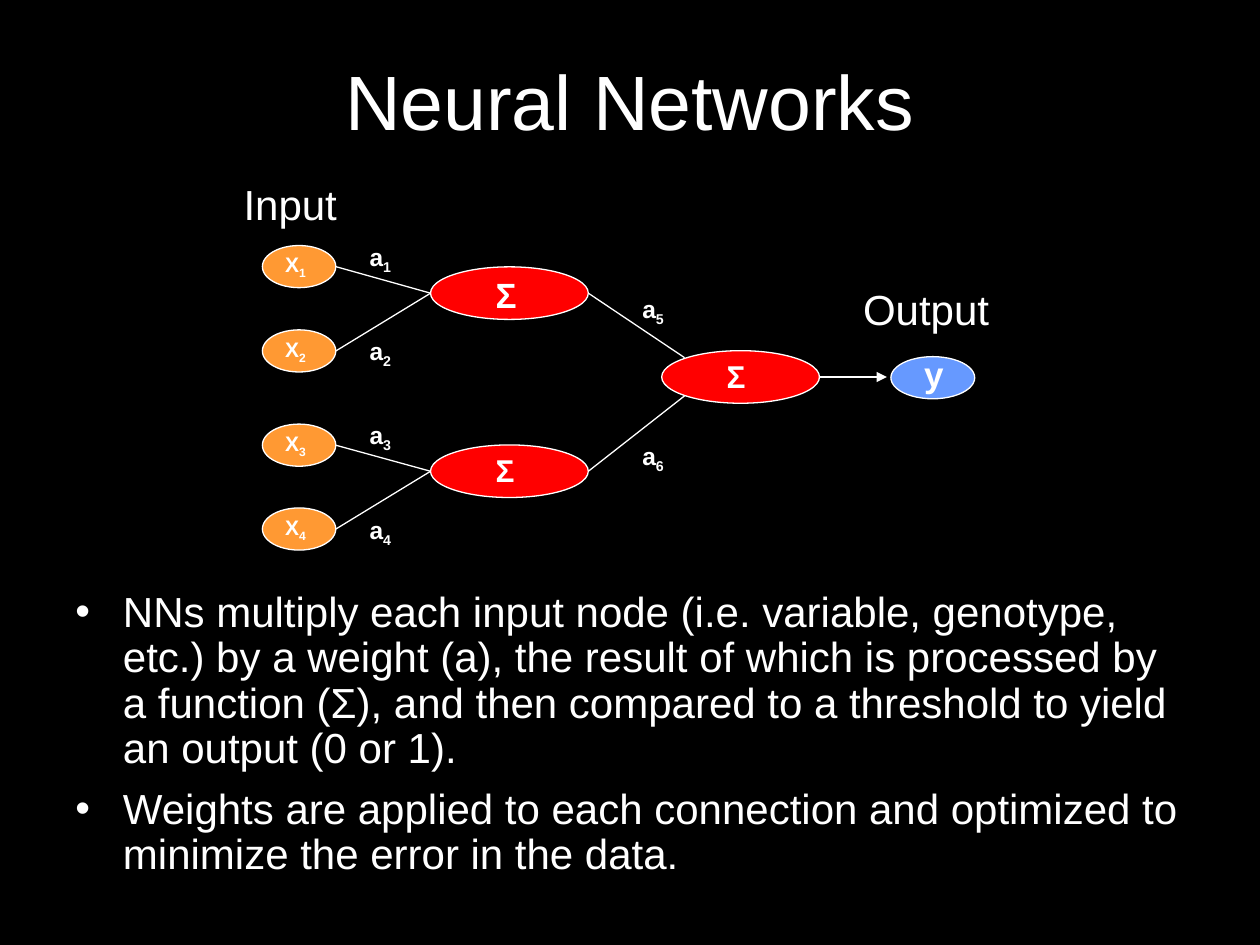
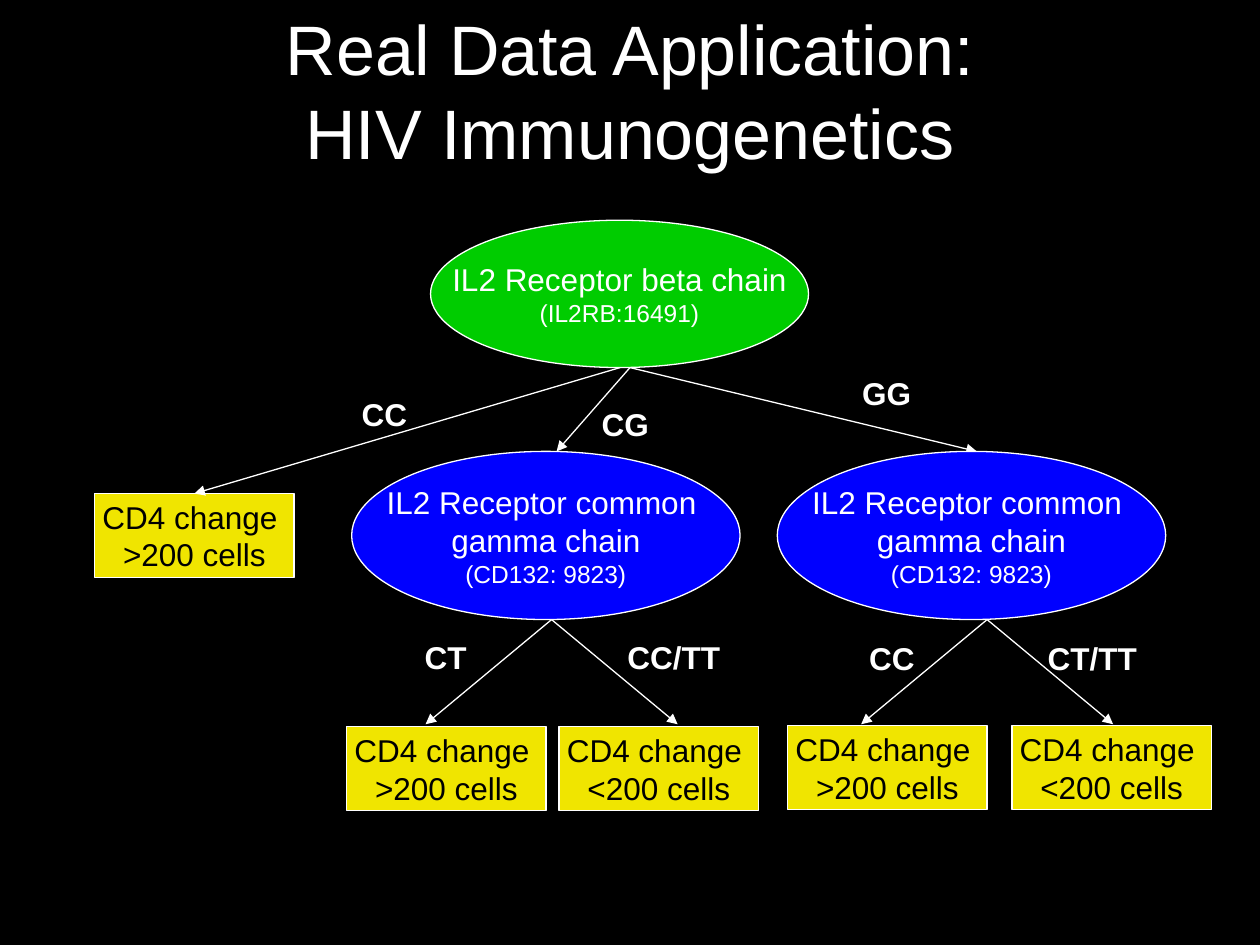
from dataclasses import dataclass
from typing import NamedTuple

from lxml import etree
from pptx import Presentation
from pptx.dml.color import RGBColor
from pptx.enum.shapes import MSO_CONNECTOR as CONN, MSO_SHAPE as SHAPE
from pptx.enum.text import MSO_ANCHOR as ANCHOR, PP_ALIGN as ALIGN
from pptx.oxml.ns import qn
from pptx.util import Cm, Pt

# Shared look
FONT = "Arial"
BLACK, WHITE = "000000", "FFFFFF"
RED, ORANGE, SKY = "FF0000", "FF9933", "6699FF"
GREEN, BLUE, YELLOW = "00CC00", "0000FF", "F0E500"
LINE_WIDTH = 0.75


class Run(NamedTuple):
    text: str
    size: float
    color: str = WHITE
    bold: bool = False
    subscript: bool = False


class Point(NamedTuple):
    x: float
    y: float


@dataclass(frozen=True)
class Box:
    """A place on the slide, in centimetres."""
    x: float
    y: float
    w: float
    h: float

    @property
    def mid_left(self) -> Point:
        return Point(self.x, self.y + self.h / 2)

    @property
    def mid_right(self) -> Point:
        return Point(self.x + self.w, self.y + self.h / 2)

    @property
    def top(self) -> Point:
        return Point(self.x + self.w / 2, self.y)

    def lengths(self) -> tuple:
        return Cm(self.x), Cm(self.y), Cm(self.w), Cm(self.h)


class Label(NamedTuple):
    text: str
    x: float
    y: float
    w: float


def rgb(color: str) -> RGBColor:
    return RGBColor.from_string(color)


def add_run(p, run: Run) -> None:
    for i, part in enumerate(run.text.split("\n")):
        if i:
            p.add_line_break()
        r = p.add_run()
        r.text = part
        r.font.name = FONT
        r.font.size = Pt(run.size)
        r.font.bold = run.bold
        r.font.color.rgb = rgb(run.color)
        if run.subscript:
            r.font._element.set("baseline", "-25000")


def write(tf, paragraphs: list[list[Run]], align=ALIGN.LEFT) -> None:
    for i, runs in enumerate(paragraphs):
        p = tf.add_paragraph() if i else tf.paragraphs[0]
        p.alignment = align
        for run in runs:
            add_run(p, run)


def add_text(slide, box: Box, paragraphs: list[list[Run]], align=ALIGN.LEFT):
    tf = slide.shapes.add_textbox(*box.lengths()).text_frame
    tf.word_wrap = True
    write(tf, paragraphs, align)
    return tf


def add_label(slide, label: Label, size: float, bold: bool = True,
              sub: str = "") -> None:
    height = round(size * 0.0423 + 0.25, 2)
    runs = [Run(label.text, size, bold=bold)]
    if sub:
        runs.append(Run(sub, size, bold=bold, subscript=True))
    add_text(slide, Box(label.x, label.y, label.w, height), [runs])


def add_node(slide, kind, box: Box, fill: str, lines: tuple[Run, ...] = ()):
    sp = slide.shapes.add_shape(kind, *box.lengths())
    sp.shadow.inherit = False
    sp.fill.solid()
    sp.fill.fore_color.rgb = rgb(fill)
    sp.line.color.rgb = rgb(WHITE)
    sp.line.width = Pt(LINE_WIDTH)
    if lines:
        tf = sp.text_frame
        tf.word_wrap = False
        tf.vertical_anchor = ANCHOR.MIDDLE
        write(tf, [[run] for run in lines], ALIGN.CENTER)
    return sp


def add_line(slide, start: Point, end: Point, arrow: bool = False):
    cxn = slide.shapes.add_connector(
        CONN.STRAIGHT, Cm(start.x), Cm(start.y), Cm(end.x), Cm(end.y))
    cxn.line.color.rgb = rgb(WHITE)
    cxn.line.width = Pt(LINE_WIDTH)
    if arrow:
        etree.SubElement(cxn.line._get_or_add_ln(), qn("a:tailEnd"), type="triangle")
    etree.SubElement(cxn._element.spPr, qn("a:effectLst"))
    return cxn


def add_bullet(p) -> None:
    pPr = p._p.get_or_add_pPr()
    pPr.set("marL", str(Cm(0.96)))
    pPr.set("indent", str(Cm(-0.96)))
    color = etree.SubElement(pPr, qn("a:buClr"))
    etree.SubElement(color, qn("a:srgbClr"), val=WHITE)
    etree.SubElement(pPr, qn("a:buFont"), typeface=FONT)
    etree.SubElement(pPr, qn("a:buChar"), char="•")


def new_slide(prs, title: str, top: float, size: float):
    slide = prs.slides.add_slide(prs.slide_layouts[6])
    tf = add_text(slide, Box(1.27, top, 22.86, 3.18), [[Run(title, size)]],
                  ALIGN.CENTER)
    tf.vertical_anchor = ANCHOR.MIDDLE
    return slide


# Slide 1: network diagram above two bullets
INPUT_TOPS = (4.95, 6.65, 8.55, 10.24)
HIDDEN = ((5.38, 20), (8.97, 18))  # top, size of the sign
WEIGHTS = ((7.2, 4.76), (7.2, 6.65), (7.2, 8.34), (7.2, 10.25),
           (12.7, 5.8), (12.7, 8.76))
BULLETS = (
    "NNs multiply each input node (i.e. variable, genotype, etc.) by a weight (a), "
    "the result of which is processed by a function (Σ), and then compared to a "
    "threshold to yield an output (0 or 1).",
    "Weights are applied to each connection and optimized to minimize the error "
    "in the data.",
)


def add_sum(slide, x: float, y: float, size: float) -> Box:
    box = Box(x, y, 3.18, 1.06)
    add_node(slide, SHAPE.OVAL, box, RED)
    add_label(slide, Label("Σ", x + 1.06, y, 1.27), size)
    return box


def neural_networks(prs) -> None:
    slide = new_slide(prs, "Neural Networks", 0.43, 44)

    # Bullets
    tf = add_text(slide, Box(1.27, 11.79, 22.86, 7.26),
                  [[Run(text, 24)] for text in BULLETS])
    for i, p in enumerate(tf.paragraphs):
        add_bullet(p)
        p.line_spacing = 0.9
        p.space_before = Pt(6 if i else 0)
        p.space_after = Pt(3)

    # Nodes, from output back to inputs
    add_label(slide, Label("Output", 17.15, 5.59, 3.38), 24, bold=False)
    add_label(slide, Label("Input", 4.66, 3.48, 2.74), 24, bold=False)
    final = add_sum(slide, 13.34, 7.07, 18)
    add_node(slide, SHAPE.OVAL, Box(17.96, 7.19, 1.69, 0.85), SKY)
    add_label(slide, Label("y", 18.38, 6.99, 1.27), 20)
    hidden = [add_sum(slide, 8.68, top, size) for top, size in HIDDEN]

    # Each pair of inputs feeds one hidden sum
    for i, top in enumerate(INPUT_TOPS):
        box = Box(5.29, top, 1.48, 0.85)
        add_node(slide, SHAPE.OVAL, box, ORANGE)
        add_label(slide, Label("X", 5.5, top, 1.48), 12, sub=str(i + 1))
        add_line(slide, box.mid_right, hidden[i // 2].mid_left)
    for box, end_y in zip(hidden, (7.21, 7.98)):
        add_line(slide, box.mid_right, Point(13.8, end_y))
    add_line(slide, final.mid_right, Point(17.88, final.mid_right.y), arrow=True)

    for i, (x, y) in enumerate(WEIGHTS, 1):
        add_label(slide, Label("a", x, y, 1.48), 14, sub=str(i))


# Slide 2: decision tree
SHORT, LONG = 1.7, 2.7  # label widths with room to stay on one line
BRANCHES = (
    Label("CC", 7.04, 7.83, SHORT),
    Label("CG", 11.88, 8.04, SHORT),
    Label("GG", 17.13, 7.42, SHORT),
    Label("CT", 8.31, 12.74, SHORT),
    Label("CC/TT", 12.4, 12.74, LONG),
    Label("CC", 17.27, 12.76, SHORT),
    Label("CT/TT", 20.87, 12.76, LONG),
)


class Gamma(NamedTuple):
    x: float
    fork_x: float
    arrow_x: float
    leaf_xs: tuple[float, float]
    leaf_y: float


GAMMAS = (
    Gamma(7.09, 11.12, 11.22, (6.99, 11.27), 14.65),
    Gamma(15.67, 19.9, 19.69, (15.88, 20.4), 14.63),
)


def add_leaf(slide, x: float, y: float, sign: str):
    box = Box(x, y, 4.02, 1.69)
    lines = (Run("CD4 change ", 18, BLACK), Run(f"{sign}200 cells", 18, BLACK))
    return box, add_node(slide, SHAPE.RECTANGLE, box, YELLOW, lines)


def immunogenetics(prs) -> None:
    slide = new_slide(prs, "Real Data Application:\nHIV Immunogenetics", 0.21, 40)

    # Root and its direct leaf
    add_node(slide, SHAPE.OVAL, Box(8.68, 4.44, 7.62, 2.97), GREEN,
             (Run("IL2 Receptor beta chain", 18), Run("(IL2RB:16491)", 14)))
    box, leaf = add_leaf(slide, 1.91, 9.95, ">")
    add_line(slide, Point(12.5, 7.41), box.top, arrow=True).end_connect(leaf, 0)

    # Two second-level nodes, each with two leaves
    for gamma in GAMMAS:
        add_line(slide, Point(12.7, 7.41), Point(gamma.arrow_x, 9.1), arrow=True)
        add_node(slide, SHAPE.OVAL, Box(gamma.x, 9.1, 7.83, 3.39), BLUE,
                 (Run("IL2 Receptor common ", 18), Run("gamma chain", 18),
                  Run("(CD132: 9823)", 14)))
        for x, sign, shift in zip(gamma.leaf_xs, "><", (-2.54, 2.54)):
            add_line(slide, Point(gamma.fork_x, 12.49),
                     Point(gamma.fork_x + shift, 14.6), arrow=True)
            add_leaf(slide, x, gamma.leaf_y, sign)

    for branch in BRANCHES:
        add_label(slide, branch, 18)


def main() -> None:
    prs = Presentation()
    prs.slide_width, prs.slide_height = Cm(25.4), Cm(19.05)
    fill = prs.slide_master.background.fill
    fill.solid()
    fill.fore_color.rgb = rgb(BLACK)
    neural_networks(prs)
    immunogenetics(prs)
    prs.save("out.pptx")


if __name__ == "__main__":
    main()
